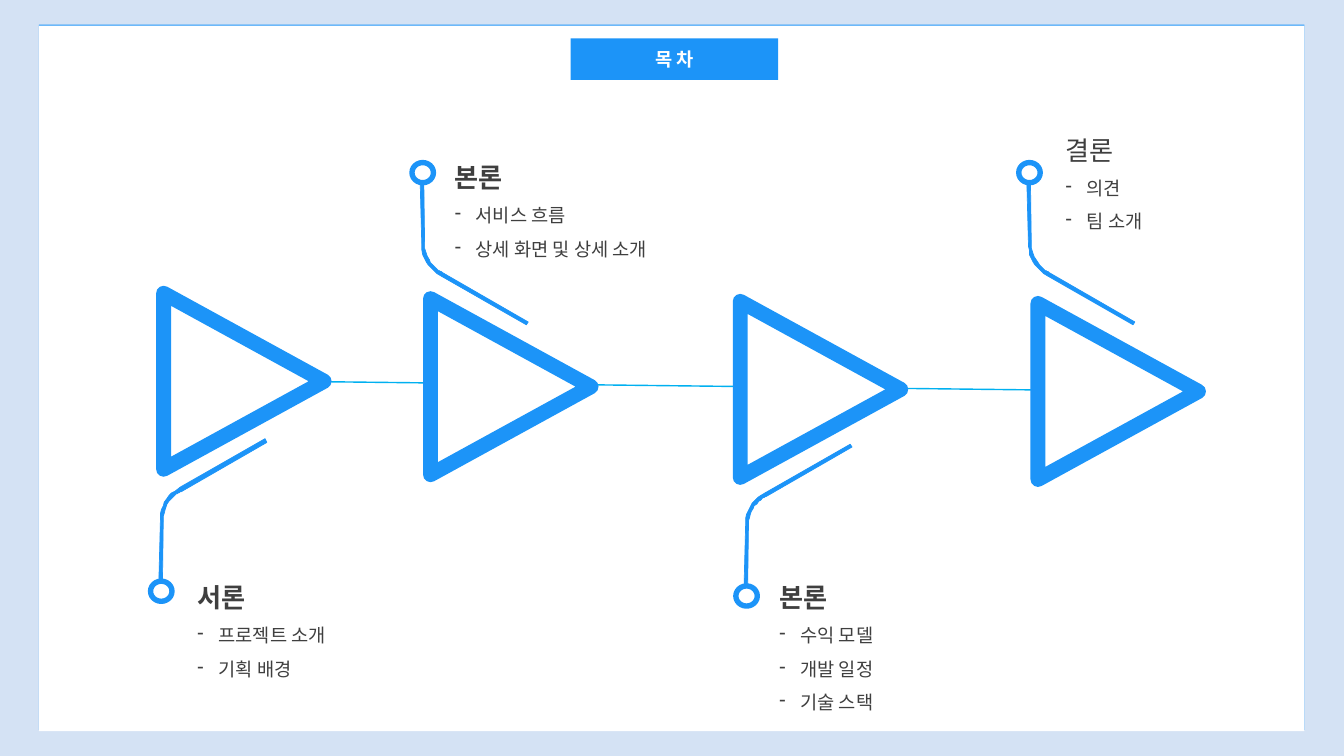
from lxml import etree
from pptx import Presentation
from pptx.dml.color import RGBColor
from pptx.enum.shapes import MSO_CONNECTOR, MSO_SHAPE
from pptx.enum.text import MSO_ANCHOR, MSO_AUTO_SIZE, PP_ALIGN
from pptx.oxml.ns import qn
from pptx.util import Pt

STRAIGHT = MSO_CONNECTOR.STRAIGHT
RECTANGLE, OVAL = MSO_SHAPE.RECTANGLE, MSO_SHAPE.OVAL
TRIANGLE = MSO_SHAPE.ISOSCELES_TRIANGLE
MIDDLE, TOP = MSO_ANCHOR.MIDDLE, MSO_ANCHOR.TOP
CENTER = PP_ALIGN.CENTER
GROW = MSO_AUTO_SIZE.SHAPE_TO_FIT_TEXT

COLORS = {"backdrop": "D4E2F4", "page": "FFFFFF", "blue": "1C94F8",
          "link": "00B0F0", "text": "3F3F3F"}
FONT, TITLE_FONT = "Noto Sans CJK KR", "Calibri"

# Content: triangle and text box as (left, top), ring as centre, side 1 = below, -1 = above
TITLE = "목 차"
SECTIONS = [
    {"heading": "서론", "bold": True, "items": ["프로젝트 소개", "기획 배경"],
     "triangle": (167, 322.5), "ring": (172.8, 633.5), "side": 1,
     "text": (204.5, 602.6), "height": 156},
    {"heading": "본론", "bold": True, "items": ["서비스 흐름", "상세 화면 및 상세 소개"],
     "triangle": (453, 328.3), "ring": (452.9, 185), "side": -1,
     "text": (480.2, 152.6), "height": 131},
    {"heading": "본론", "bold": True, "items": ["수익 모델", "개발 일정", "기술 스택"],
     "triangle": (784.8, 331.2), "ring": (799.9, 638.6), "side": 1,
     "text": (828, 602.6), "height": 167},
    {"heading": "결론", "bold": False, "items": ["의견", "팀 소개"],
     "triangle": (1103.8, 333.4), "ring": (1103, 185), "side": -1,
     "text": (1134.7, 123.1), "height": 229},
]
TRIANGLE_SIZE = (188.6, 172)
RING_SIZE = (23, 21.6)
TEXT_WIDTH = 347.8
LINK = ((347.8, 409), (1283.8, 419.8))

# Bend outline from the ring centre: one point is a line, three are a cubic curve
BEND = [
    [(111, 163)], [(113, 160)], [(21, 106.5)],
    [(19, 106), (16.5, 104.5), (15, 103)], [(13, 101.5)],
    [(6.5, 95), (2, 86.5), (2, 77)], [(0.7, 2)], [(-3, 2)], [(-0.7, 79)],
    [(-0.7, 91), (5.8, 101.5), (15, 108)], [(20, 111)],
]
CURVE_STEPS = 8


def color(name):
    return RGBColor.from_string(COLORS[name])


def add_xml(parent, tag, **attributes):
    return etree.SubElement(parent, qn(tag), attributes)


def paint(shape, fill, line_width=None):
    shape.shadow.inherit = False
    shape.fill.solid()
    shape.fill.fore_color.rgb = color(fill)
    if line_width is None:
        shape.line.fill.background()
    else:
        shape.line.color.rgb = color("blue")
        shape.line.width = Pt(line_width)


def add_shape(kind, left, top, width, height, fill, line_width=None):
    shape = slide.shapes.add_shape(kind, Pt(left), Pt(top), Pt(width), Pt(height))
    paint(shape, fill, line_width)
    return shape


def set_font(paragraph, name, size, bold, color_name):
    font = paragraph.font
    font.name, font.size, font.bold = name, Pt(size), bold
    font.color.rgb = color(color_name)
    add_xml(font._element, "a:ea", typeface=FONT)


def bend_points():
    points = []
    for segment in BEND:
        if len(segment) == 1:
            points += segment
            continue
        controls = [points[-1]] + segment
        for step in range(1, CURVE_STEPS + 1):
            t = step / CURVE_STEPS
            weights = ((1 - t) ** 3, 3 * t * (1 - t) ** 2, 3 * t * t * (1 - t), t ** 3)
            points.append(tuple(sum(w * point[axis] for w, point in zip(weights, controls))
                                for axis in (0, 1)))
    return points


def add_pointer(center, side):
    x, y = center
    points = [(x + dx, y - side * dy) for dx, dy in bend_points()]
    builder = slide.shapes.build_freeform(*points[0], scale=Pt(1))
    builder.add_line_segments(points[1:], close=True)
    paint(builder.convert_to_shape(), "blue", 0.75)
    width, height = RING_SIZE
    add_shape(OVAL, x - width / 2, y - height / 2, width, height, "page", 5.75)


def add_section_text(section):
    left, top = section["text"]
    box = slide.shapes.add_textbox(Pt(left), Pt(top), Pt(TEXT_WIDTH), Pt(section["height"]))
    frame = box.text_frame
    frame.word_wrap, frame.auto_size, frame.vertical_anchor = True, GROW, TOP
    heading = frame.paragraphs[0]
    heading.text, heading.line_spacing = section["heading"], 1.5
    set_font(heading, FONT, 28, section["bold"], "text")
    for item in section["items"]:
        paragraph = frame.add_paragraph()
        paragraph.text, paragraph.line_spacing = item, 1.5
        properties = paragraph._p.get_or_add_pPr()
        properties.set("marL", str(Pt(22.5)))
        properties.set("indent", str(Pt(-22.5)))
        add_xml(properties, "a:buChar", char="-")
        set_font(paragraph, FONT, 20, False, "text")


presentation = Presentation()
presentation.slide_width, presentation.slide_height = Pt(1440), Pt(810)
slide = presentation.slides.add_slide(presentation.slide_layouts[5])
slide.background.fill.solid()
slide.background.fill.fore_color.rgb = color("backdrop")

# Page with a thin blue edge on top
page = add_shape(RECTANGLE, 41.8, 27.4, 1355.8, 756, "page")
effects = page._element.spPr.find(qn("a:effectLst"))
shadow = add_xml(effects, "a:outerShdw", blurRad="0", dist=str(Pt(1)),
                 dir="16200000", algn="b", rotWithShape="0")
add_xml(shadow, "a:srgbClr", val=COLORS["blue"])

# Link behind the triangles
(start_x, start_y), (end_x, end_y) = LINK
link = slide.shapes.add_connector(STRAIGHT, Pt(start_x), Pt(start_y), Pt(end_x), Pt(end_y))
link.line.color.rgb = color("link")
link.line.width = Pt(1.5)
add_xml(link.line._get_or_add_ln(), "a:tailEnd", type="stealth")
add_xml(link._element.spPr, "a:effectLst")

# Sections
for section in SECTIONS:
    triangle = add_shape(TRIANGLE, *section["triangle"], *TRIANGLE_SIZE, "page", 16)
    triangle.rotation = 90
    add_xml(triangle.line._get_or_add_ln(), "a:round")
    add_pointer(section["ring"], section["side"])
    add_section_text(section)

# Title pill, in front of the page
title = slide.shapes.title
title.left, title.top, title.width, title.height = Pt(611.3), Pt(41), Pt(222.5), Pt(44.6)
geometry = add_xml(title._element.spPr, "a:prstGeom", prst="roundRect")
add_xml(add_xml(geometry, "a:avLst"), "a:gd", name="adj", fmla="val 50000")
title.fill.solid()
title.fill.fore_color.rgb = color("blue")
title.text_frame.text = TITLE
title.text_frame.vertical_anchor = MIDDLE
title.text_frame.paragraphs[0].alignment = CENTER
set_font(title.text_frame.paragraphs[0], TITLE_FONT, 20, True, "page")
slide.shapes._spTree.append(title._element)

presentation.save("out.pptx")
